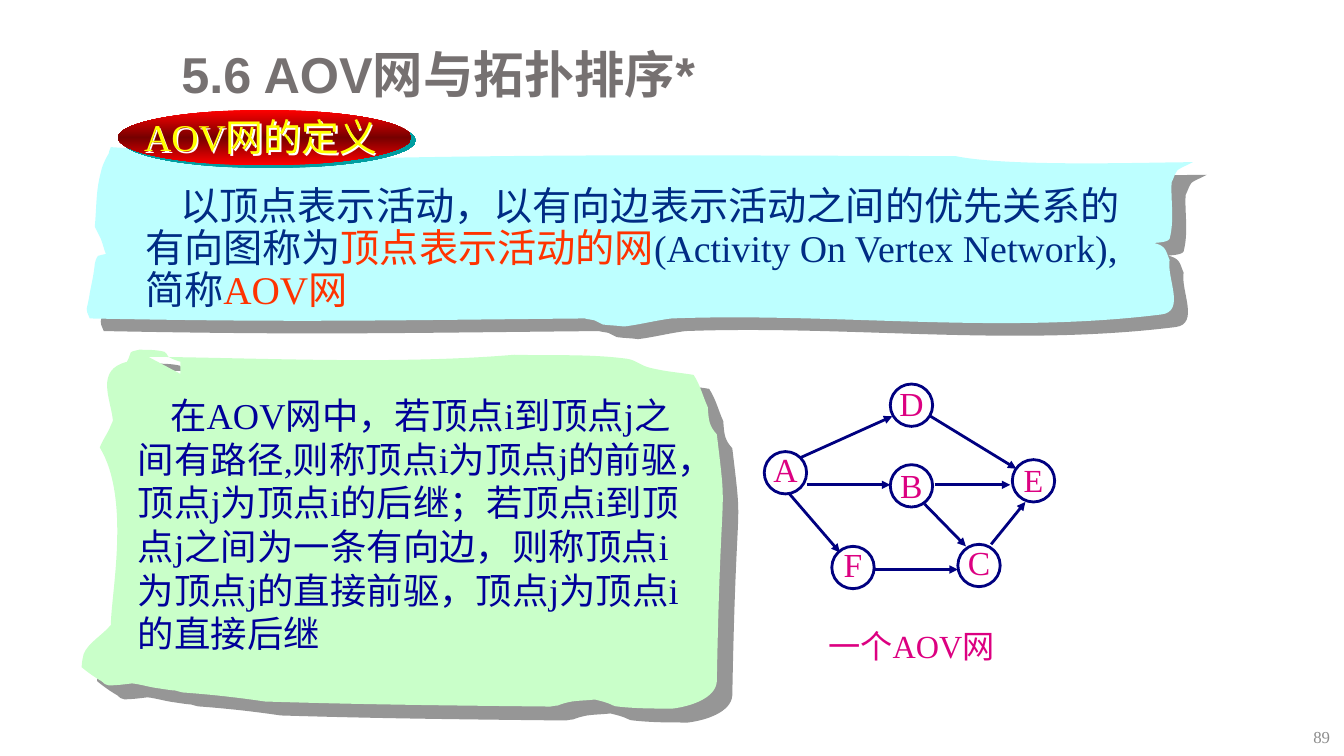
from copy import deepcopy

from lxml.etree import SubElement
from pptx import Presentation
from pptx.dml.color import RGBColor
from pptx.enum.shapes import MSO_CONNECTOR as CONNECTOR, MSO_SHAPE as SHAPE
from pptx.enum.text import MSO_ANCHOR as ANCHOR, PP_ALIGN as ALIGN
from pptx.oxml.ns import qn
from pptx.util import Inches, Pt

PX = Inches(1) // 100  # 100 px to the inch
SERIF = "Times New Roman"

TITLE_GRAY = RGBColor(0x76, 0x71, 0x71)
NUMBER_GRAY = RGBColor(0x8C, 0x8C, 0x8C)
SHADOW_GRAY = RGBColor(0x96, 0x96, 0x96)
MINT = RGBColor(0xC9, 0xFF, 0xC9)
CYAN = RGBColor(0xBD, 0xFF, 0xFF)
TEAL = RGBColor(0x00, 0x9E, 0xA1)
BLUE = RGBColor(0x00, 0x00, 0x99)
DEEP_BLUE = RGBColor(0x00, 0x2C, 0x84)
NAVY = RGBColor(0x00, 0x00, 0x80)
ORANGE = RGBColor(0xFF, 0x33, 0x00)
RED = RGBColor(0xFF, 0x00, 0x00)
DARK_RED = RGBColor(0x76, 0x00, 0x00)
YELLOW = RGBColor(0xFF, 0xFF, 0x00)
WHITE = RGBColor(0xFF, 0xFF, 0xFF)
PINK = RGBColor(0xDC, 0x00, 0x81)

# Torn-paper outlines: a start point, then two controls and an end per curve;
# a pair at the end is a straight edge
PROPERTY_START = (66, 7)
PROPERTY_EDGES = [
    (174, 8, 312, 15, 429, 5), (466, 6, 504, 4, 541, 9),
    (549, 10, 555, 16, 564, 18), (581, 22, 588, 22, 607, 25),
    (614, 36, 616, 46, 621, 57), (622, 70, 622, 75, 630, 84),
    (641, 176, 634, 112, 630, 329), (629, 346, 603, 354, 586, 356),
    (568, 356, 550, 356, 532, 354), (528, 354, 526, 352, 523, 351),
    (518, 349, 509, 347, 509, 347), (501, 348, 493, 348, 486, 349),
    (481, 350, 477, 351, 472, 353), (470, 353, 465, 354, 465, 354),
    (367, 353, 278, 352, 182, 349), (155, 345, 128, 342, 100, 340),
    (85, 336, 102, 340, 77, 336), (68, 335, 59, 332, 50, 331),
    (42, 332, 35, 333, 27, 333), (24, 333, 22, 331, 20, 329),
    (13, 325, 6, 320, 0, 315), (0, 311, 1, 306, 2, 302),
    (6, 291, 21, 283, 29, 273), (29, 243, 49, 148, 18, 97),
    (21, 89, 26, 83, 29, 75), (30, 74, 31, 70, 31, 70),
    (29, 49, 13, 20, 45, 12), (51, 0, 45, 3, 57, 0),
    (65, 0, 74, 0, 82, 2), (84, 2, 84, 5, 86, 7),
    (89, 9, 95, 11, 98, 12), (98, 24),
]
DEFINITION_START = (68, 6)
DEFINITION_EDGES = [
    (134, 7, 174, 8, 232, 12), (464, 7, 566, 8, 864, 9),
    (918, 20, 1057, 15, 1099, 15), (1079, 25, 1085, 20, 1078, 35),
    (1077, 53, 1081, 72, 1076, 91), (1074, 95, 1060, 95, 1060, 95),
    (1073, 98, 1072, 103, 1076, 112), (1073, 130, 1092, 163, 1068, 166),
    (908, 186, 744, 164, 582, 170), (566, 172, 551, 176, 535, 178),
    (528, 177, 521, 177, 514, 176), (511, 175, 509, 173, 506, 172),
    (503, 171, 499, 171, 496, 170), (286, 172, 210, 174, 5, 170),
    (0, 158, 2, 165, 5, 145), (7, 135, 9, 126, 10, 116),
    (11, 113, 11, 110, 13, 108), (15, 107, 18, 107, 21, 106),
    (19, 101, 18, 96, 16, 91), (14, 87, 10, 79, 10, 79),
    (12, 57, 11, 44, 16, 25), (17, 19, 21, 11, 24, 6),
    (24, 4, 26, 0, 26, 0), (38, 1, 51, 1, 63, 2),
    (73, 3, 72, 3, 68, 6),
]

# Graph: node left, top, label shift and label size; arrows from point to point
NODE_SIZE = 42
NODES = {
    "A": (1, 73, -8, 24), "B": (126, 86, -5, 24), "C": (193, 165, -7, 24),
    "D": (126, 6, -6, 24), "E": (247, 81, -4, 23), "F": (68, 167, -7, 24),
}
ARROWS = [
    (37, 79, 128, 38), (166, 38, 251, 90), (43, 106, 126, 106),
    (26, 115, 76, 173), (110, 190, 193, 190), (226, 165, 260, 123),
    (160, 125, 201, 167), (170, 106, 245, 106),
]


def px(*lengths):
    return [length * PX for length in lengths]


def add_text(slide, box, runs, size, color, font=SERIF, bold=False, align=ALIGN.LEFT,
             anchor=ANCHOR.TOP, wrap=True, spacing=None, indent=0):
    """Each run is a string, or a (string, color, size) tuple."""
    shape = slide.shapes.add_textbox(*px(*box))
    frame = shape.text_frame
    frame.word_wrap = wrap
    frame.vertical_anchor = anchor
    paragraph = frame.paragraphs[0]
    paragraph.alignment = align
    if spacing:
        paragraph.line_spacing = spacing
    if indent:
        paragraph._p.get_or_add_pPr().set("indent", str(indent * PX))
    for item in runs:
        text, run_color, run_size = item if isinstance(item, tuple) else (item, color, size)
        run = paragraph.add_run()
        run.text = text
        run.font.name = font
        run.font.size = Pt(run_size)
        run.font.bold = bold
        run.font.color.rgb = run_color
    return shape


def add_shadow(shape, color, distance, angle):
    shape.shadow.inherit = False
    effects = shape._element.spPr.find(qn("a:effectLst"))
    shadow = SubElement(effects, qn("a:outerShdw"), dist=str(Pt(distance)),
                        dir=str(angle * 60000), algn="ctr", rotWithShape="0")
    SubElement(shadow, qn("a:srgbClr"), val=str(color))


def add_paper(slide, left, top, start, edges, color, shadow_distance):
    points = [px(left + x, top + y) for edge in edges for x, y in zip(edge[::2], edge[1::2])]
    builder = slide.shapes.build_freeform(*px(left + start[0], top + start[1]))
    builder.add_line_segments(points, close=False)
    paper = builder.convert_to_shape()
    # Join every three points into one curve
    segments = list(paper._element.spPr.iter(qn("a:lnTo")))
    for index in range(0, len(segments) - 2, 3):
        curve, *others = segments[index:index + 3]
        for other in others:
            curve.append(other[0])
            other.getparent().remove(other)
        curve.tag = qn("a:cubicBezTo")
    paper.fill.solid()
    paper.fill.fore_color.rgb = color
    paper.line.fill.background()
    add_shadow(paper, SHADOW_GRAY, shadow_distance, 42)


def add_property(slide, left, top):
    add_paper(slide, left, top, PROPERTY_START, PROPERTY_EDGES, MINT, 14.9)
    add_text(slide, (left + 46, top + 38, 573, 273),
             ["在AOV网中，若顶点i到顶点j之间有路径,则称顶点i为顶点j的前驱，"
              "顶点j为顶点i的后继；若顶点i到顶点j之间为一条有向边，"
              "则称顶点i为顶点j的直接前驱，顶点j为顶点i的直接后继"],
             26, BLUE, indent=32)


def add_definition(slide, left, top):
    add_paper(slide, left, top, DEFINITION_START, DEFINITION_EDGES, CYAN, 13.5)
    add_text(slide, (left + 50, top + 34, 997, 137),
             ["以顶点表示活动，以有向边表示活动之间的优先关系的有向图称为",
              ("顶点表示活动的网", ORANGE, 28),
              ("(Activity On Vertex Network)", DEEP_BLUE, 27),
              ",简称", ("AOV网", ORANGE, 28)],
             28, DEEP_BLUE, spacing=0.9, indent=35)


def add_badge(slide, left, top):
    badge = slide.shapes.add_shape(SHAPE.OVAL, *px(left, top, 291, 55))
    badge.fill.gradient()
    badge.fill.gradient_angle = 90
    first_stop = next(badge._element.spPr.iter(qn("a:gs")))
    first_stop.addnext(deepcopy(first_stop))
    for stop, position, color in zip(badge.fill.gradient_stops, (0, 0.5, 1),
                                     (RED, DARK_RED, RED)):
        stop.position = position
        stop.color.rgb = color
    badge.line.fill.background()
    add_shadow(badge, TEAL, 3.6, 34)
    label = add_text(slide, (left + 16, top - 1, 338, 55), ["AOV网的定义"], 27, YELLOW)
    add_shadow(label, WHITE, 1.5, 45)


def add_graph(slide, left, top):
    for x, y, *_ in NODES.values():
        node = slide.shapes.add_shape(SHAPE.OVAL, *px(left + x, top + y, NODE_SIZE, NODE_SIZE))
        node.shadow.inherit = False
        node.fill.background()
        node.line.color.rgb = NAVY
        node.line.width = Pt(2)
    for x1, y1, x2, y2 in ARROWS:
        arrow = slide.shapes.add_connector(
            CONNECTOR.STRAIGHT, *px(left + x1, top + y1, left + x2, top + y2))
        arrow.line.color.rgb = NAVY
        arrow.line.width = Pt(2)
        SubElement(arrow.line._get_or_add_ln(), qn("a:tailEnd"), type="triangle")
        SubElement(arrow._element.spPr, qn("a:effectLst"))
    for name, (x, y, shift, size) in NODES.items():
        add_text(slide, (left + x - 1, top + y + shift, 44, 50), [name], size, PINK,
                 align=ALIGN.CENTER, wrap=False)
    add_text(slide, (left + 24, top + 241, 246, 48), ["一个AOV网"], 23, PINK,
             align=ALIGN.CENTER)


def main():
    presentation = Presentation()
    presentation.slide_width, presentation.slide_height = px(1333, 750)
    slide = presentation.slides.add_slide(presentation.slide_layouts[6])
    add_text(slide, (170, 34, 1125, 85), ["5.6 AOV网与拓扑排序*"], 36, TITLE_GRAY,
             font="Arial", bold=True, anchor=ANCHOR.MIDDLE, spacing=0.9)
    add_text(slide, (1282, 712, 47, 38), ["89"], 12, NUMBER_GRAY,
             align=ALIGN.RIGHT, anchor=ANCHOR.MIDDLE)
    add_property(slide, 81, 347)
    add_definition(slide, 84, 146)
    add_badge(slide, 117, 109)
    add_graph(slide, 757, 375)
    presentation.save("out.pptx")


if __name__ == "__main__":
    main()
